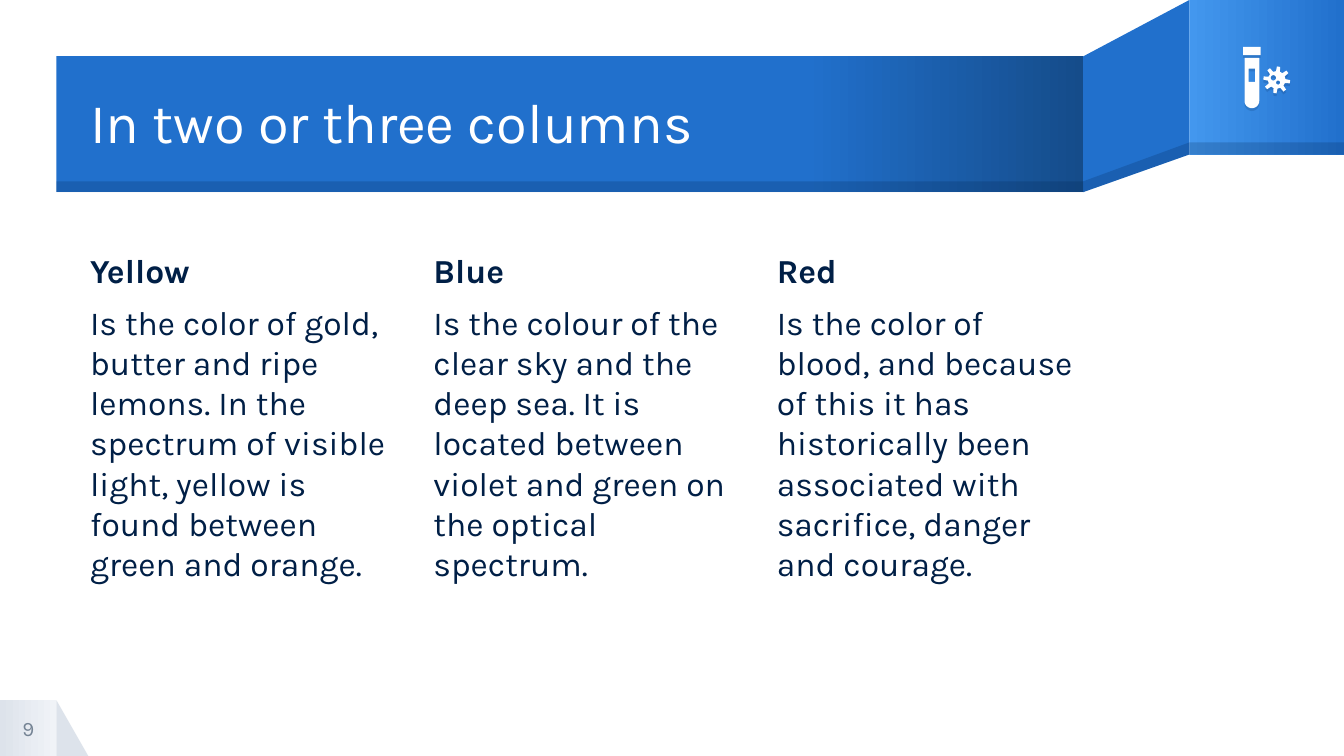
from dataclasses import dataclass
from math import cos, radians, sin

from lxml.etree import SubElement
from pptx import Presentation
from pptx.dml.color import RGBColor
from pptx.enum.shapes import MSO_SHAPE
from pptx.enum.text import MSO_ANCHOR, MSO_AUTO_SIZE, PP_ALIGN
from pptx.oxml.ns import qn
from pptx.util import Inches, Pt


@dataclass(frozen=True)
class Theme:
    font: str = "Karla"
    title_size: int = 30
    body_size: int = 18
    number_size: int = 11
    white: str = "FFFFFF"
    navy: str = "001F46"
    blue: str = "2170CC"
    light_blue: str = "4397EE"
    dark_blue: str = "154C8A"
    gray: str = "DDE3EB"
    light_gray: str = "F0F3F7"
    number_gray: str = "748394"


class SlideBuilder:
    def __init__(self, slide, theme):
        self.slide = slide
        self.theme = theme

    def paint(self, shape, color, alpha=None):
        shape.shadow.inherit = False
        shape.line.fill.background()
        shape.fill.solid()
        shape.fill.fore_color.rgb = RGBColor.from_string(color)
        if alpha:
            srgb = shape.fill._xPr.find(".//" + qn("a:srgbClr"))
            SubElement(srgb, qn("a:alpha"), val=str(alpha * 1000))
        return shape

    def preset(self, kind, box, color, alpha=None):
        shape = self.slide.shapes.add_shape(kind, *map(Inches, box))
        return self.paint(shape, color, alpha)

    def gradient(self, box, start, end, start_at=0):
        shape = self.preset(MSO_SHAPE.RECTANGLE, box, start)
        shape.fill.gradient()
        shape.fill.gradient_angle = 0
        first, last = shape.fill.gradient_stops
        first.position, last.position = start_at, 1
        first.color.rgb = RGBColor.from_string(start)
        last.color.rgb = RGBColor.from_string(end)

    def outline(self, contours, color, alpha=None):
        contours = [[(Inches(x), Inches(y)) for x, y in c] for c in contours]
        builder = self.slide.shapes.build_freeform(*contours[0][0])
        builder.add_line_segments(contours[0][1:])
        for hole in contours[1:]:
            builder.move_to(*hole[0])
            builder.add_line_segments(hole[1:])
        return self.paint(builder.convert_to_shape(), color, alpha)

    def icon_part(self, *contours):
        shape = self.outline(contours, self.theme.white)
        effects = shape._element.spPr.find(qn("a:effectLst"))
        shadow = SubElement(effects, qn("a:outerShdw"), dist=str(Pt(1.5)),
                            dir="5400000", algn="bl", rotWithShape="0")
        tint = SubElement(shadow, qn("a:srgbClr"), val=self.theme.navy)
        SubElement(tint, qn("a:alpha"), val="15000")

    def style_frame(self, frame, anchor):
        frame.word_wrap = True
        frame.auto_size = MSO_AUTO_SIZE.NONE
        frame.vertical_anchor = anchor
        frame.margin_left = frame.margin_right = 0
        frame.margin_top = frame.margin_bottom = 0

    def style_paragraph(self, paragraph, size, color, bold=False, align=PP_ALIGN.LEFT):
        paragraph.alignment = align
        for run in paragraph.runs:
            run.font.name = self.theme.font
            run.font.size = Pt(size)
            run.font.bold = bold
            run.font.color.rgb = RGBColor.from_string(color)

    def title(self, text, box):
        title = self.slide.shapes.title
        title.left, title.top, title.width, title.height = map(Inches, box)
        title.text_frame.text = text
        self.style_frame(title.text_frame, MSO_ANCHOR.MIDDLE)
        heading = title.text_frame.paragraphs[0]
        heading.line_spacing = 0.9
        self.style_paragraph(heading, self.theme.title_size, self.theme.white)
        # Bring the title in front of the ribbon
        self.slide.shapes._spTree.append(title._element)

    def column(self, heading, body, box):
        frame = self.slide.shapes.add_textbox(*map(Inches, box)).text_frame
        frame.text = f"{heading}\n{body}"
        self.style_frame(frame, MSO_ANCHOR.TOP)
        top, rest = frame.paragraphs
        rest.space_before = Pt(6)
        self.style_paragraph(top, self.theme.body_size, self.theme.navy, bold=True)
        self.style_paragraph(rest, self.theme.body_size, self.theme.navy)

    def page_number(self, text, box):
        frame = self.slide.shapes.add_textbox(*map(Inches, box)).text_frame
        frame.text = text
        self.style_frame(frame, MSO_ANCHOR.MIDDLE)
        self.style_paragraph(frame.paragraphs[0], self.theme.number_size,
                             self.theme.number_gray, align=PP_ALIGN.CENTER)


def polar(center, radius, degrees):
    angle = radians(degrees)
    return center[0] + radius * cos(angle), center[1] + radius * sin(angle)


def arc(center, radius, start, end, step=15):
    return [polar(center, radius, a) for a in range(start, end + 1, step)]


def rectangle(left, top, right, bottom):
    return [(left, top), (right, top), (right, bottom), (left, bottom), (left, top)]


COLUMNS = [
    ("Yellow", "Is the color of gold, butter and ripe lemons. In the spectrum of "
               "visible light, yellow is found between green and orange."),
    ("Blue", "Is the colour of the clear sky and the deep sea. It is located between "
             "violet and green on the optical spectrum."),
    ("Red", "Is the color of blood, and because of this it has historically been "
            "associated with sacrifice, danger and courage."),
]


def main():
    theme = Theme()
    deck = Presentation()
    deck.slide_width, deck.slide_height = Inches(10), Inches(5.625)
    builder = SlideBuilder(deck.slides.add_slide(deck.slide_layouts[5]), theme)

    # Page number corner
    corner = (0, 5.21, 0.42, 0.42)
    builder.preset(MSO_SHAPE.RIGHT_TRIANGLE, (0.42, 5.21, 0.24, 0.42), theme.gray)
    builder.gradient(corner, theme.gray, theme.light_gray)

    # Folded ribbon
    fold, flap = 8.06, 8.85
    builder.outline([[(flap, 0), (fold, 0.42), (fold, 1.43), (flap, 1.15), (flap, 0)]],
                    theme.blue)
    builder.gradient((flap, 0, 1.15, 1.15), theme.light_blue, theme.blue)
    builder.gradient((0.42, 0.42, 7.64, 1.01), theme.blue, theme.dark_blue, 0.73)

    # Shaded lower edge
    builder.outline([[(flap, 1.06), (fold, 1.35), (fold, 1.43), (flap, 1.15),
                      (flap, 1.06)]], theme.navy, 20)
    for edge in ((flap, 1.06, 1.15, 0.09), (0.42, 1.35, 7.64, 0.08)):
        builder.preset(MSO_SHAPE.RECTANGLE, edge, theme.navy, 20)

    # Title and columns
    builder.title("In two or three columns", (0.67, 0.43, 7.39, 1.01))
    for index, (heading, body) in enumerate(COLUMNS):
        builder.column(heading, body, (0.67 + index * 2.555, 1.86, 2.28, 2.97))
    builder.page_number("9", corner)

    # Test tube: cap, then body with a window
    builder.icon_part(rectangle(9.25, 0.35, 9.38, 0.41))
    tube = [(9.37, 0.43), *arc((9.315, 0.75), 0.055, 0, 180), (9.26, 0.43), (9.37, 0.43)]
    builder.icon_part(tube, rectangle(9.29, 0.51, 9.34, 0.61))

    # Virus: eight spikes and two holes
    center = (9.5, 0.595)
    virus = [polar(center, radius, 8 + spike * 45 + offset)
             for spike in range(8)
             for radius, offset in ((0.065, -13), (0.1, -7), (0.1, 7), (0.065, 13))]
    builder.icon_part(virus + virus[:1], arc((9.475, 0.58), 0.02, 0, 360),
                      arc((9.51, 0.615), 0.015, 0, 360))

    deck.save("out.pptx")


if __name__ == "__main__":
    main()
